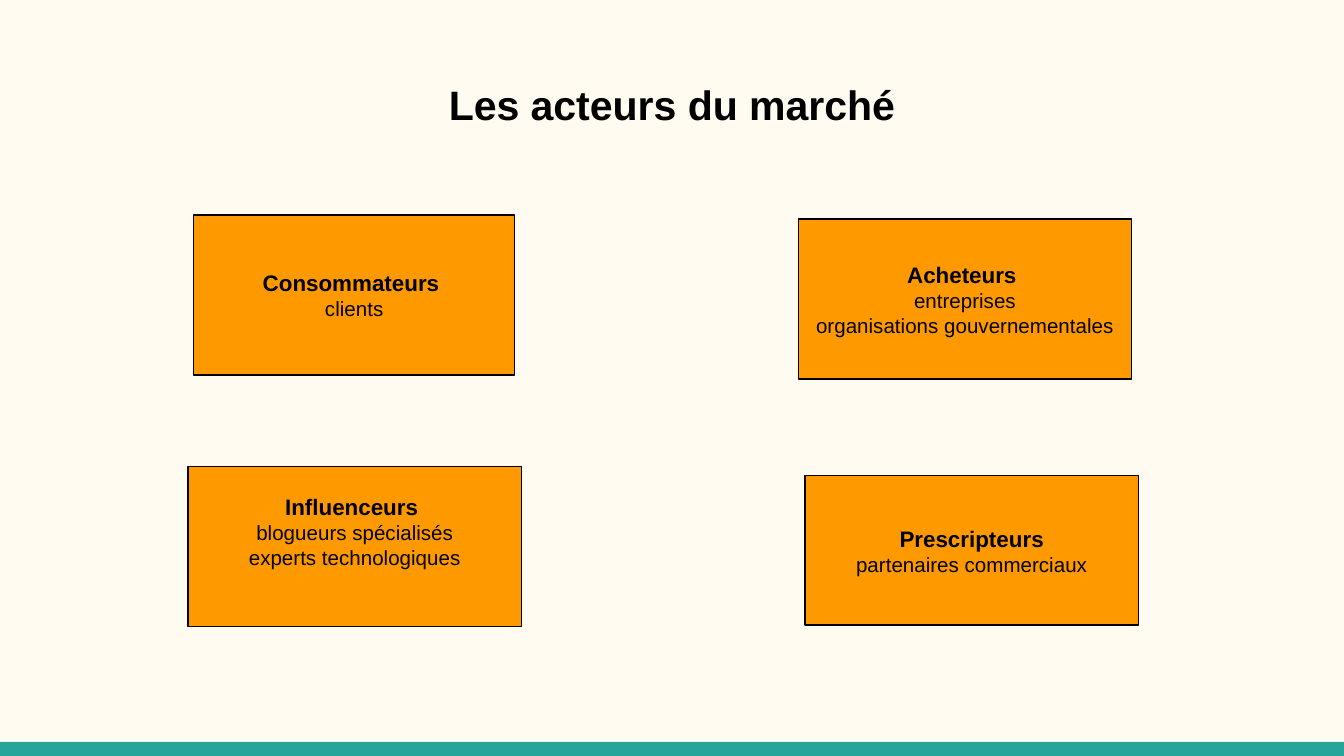
from pptx import Presentation
from pptx.dml.color import RGBColor
from pptx.enum import shapes, text
from pptx.util import Inches, Pt

COLORS = {"background": "FFFBF0", "footer": "26A69A", "box": "FF9900", "ink": "000000"}
FONT = "Arial"
INSET = 0.1
TITLE = "Les acteurs du marché"

# Position and size, bottom inset, heading, examples
ACTORS = [
    ((1.44, 1.6, 2.39, 1.19), INSET, "Consommateurs ", ["clients"]),
    ((5.94, 1.63, 2.48, 1.19), INSET, "Acheteurs ",
     ["entreprises", "organisations gouvernementales"]),
    ((1.4, 3.47, 2.48, 1.19), 0.32, "Influenceurs ",
     ["blogueurs spécialisés", "experts technologiques"]),
    ((5.99, 3.54, 2.48, 1.11), INSET, "Prescripteurs", ["partenaires commerciaux"]),
]


def color(name):
    return RGBColor.from_string(COLORS[name])


def add_box(slide, place, fill):
    sp = slide.shapes.add_shape(shapes.MSO_SHAPE.RECTANGLE, *map(Inches, place))
    sp.shadow.inherit = False
    sp.fill.solid()
    sp.fill.fore_color.rgb = color(fill)
    sp.line.fill.background()
    return sp


def write_lines(sp, lines, anchor, bottom=INSET):
    """Fill a shape with centred (text, size, bold) lines."""
    tf = sp.text_frame
    tf.word_wrap = True
    tf.vertical_anchor = anchor
    tf.margin_left = tf.margin_right = tf.margin_top = Inches(INSET)
    tf.margin_bottom = Inches(bottom)
    tf.text = "\n".join(line for line, _, _ in lines)
    for p, (_, size, bold) in zip(tf.paragraphs, lines):
        p.alignment = text.PP_ALIGN.CENTER
        font = p.runs[0].font
        font.name, font.size, font.bold = FONT, Pt(size), bold
        font.color.rgb = color("ink")


prs = Presentation()
prs.slide_width, prs.slide_height = Inches(10), Inches(5.625)
s = prs.slides.add_slide(prs.slide_layouts[6])
s.background.fill.solid()
s.background.fill.fore_color.rgb = color("background")

add_box(s, (0, 5.52, 10, 0.11), "footer")
title = s.shapes.add_textbox(*map(Inches, (0.34, 0.49, 9.32, 0.67)))
write_lines(title, [(TITLE, 22, True)], text.MSO_ANCHOR.TOP)

for place, bottom, heading, examples in ACTORS:
    sp = add_box(s, place, "box")
    sp.line.color.rgb = color("ink")
    sp.line.width = Pt(0.75)
    lines = [(heading, 12, True)] + [(example, 11, False) for example in examples]
    write_lines(sp, lines, text.MSO_ANCHOR.MIDDLE, bottom)

prs.save("out.pptx")
